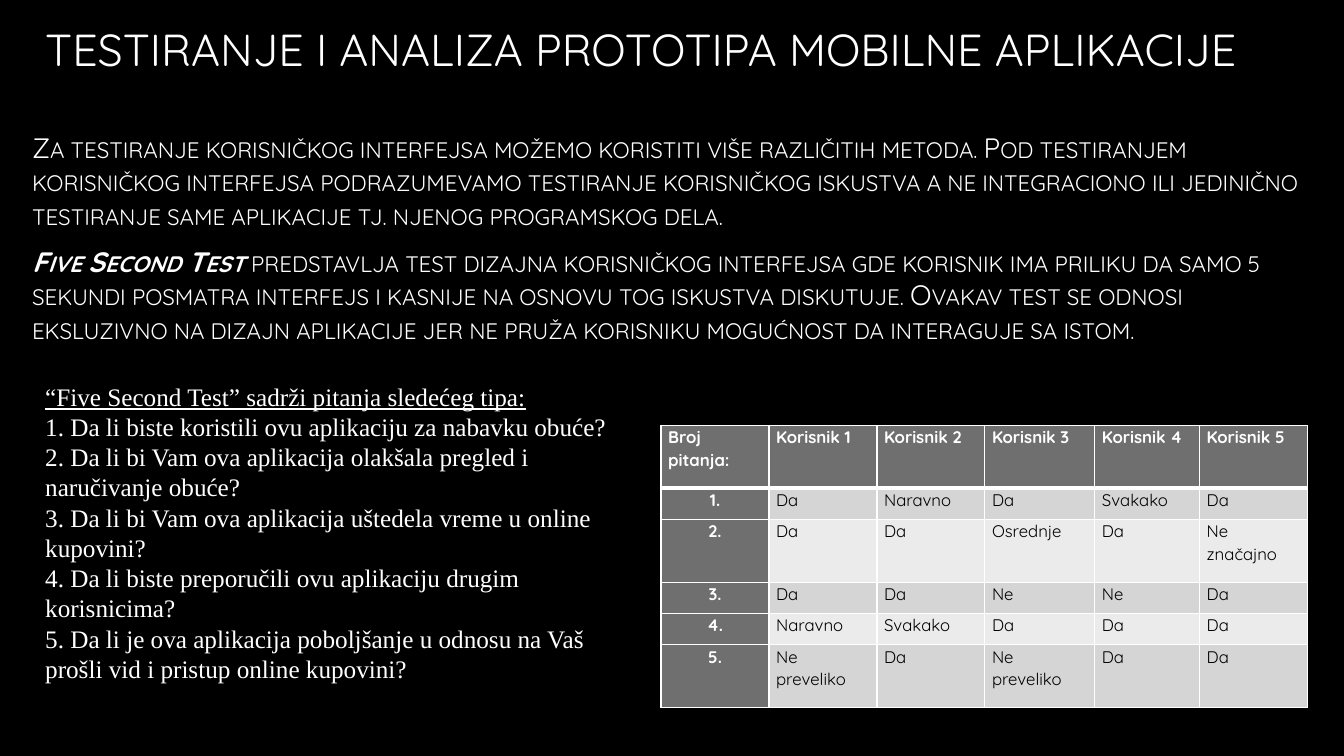
from typing import NamedTuple

from lxml import etree
from pptx import Presentation
from pptx import util as u
from pptx.dml.color import RGBColor
from pptx.enum import text
from pptx.oxml.ns import qn

COLORS = {
    "black": "000000",
    "white": "FFFFFF",
    "header": "6F6F6F",
    "odd": "D5D5D5",
    "even": "EBEBEB",
}
SANS, SERIF = "Quicksand", "Times New Roman"


class Run(NamedTuple):
    text: str
    bold: bool = False
    italic: bool = False
    underline: bool = False


class TextBlock(NamedTuple):
    left: float
    top: float
    width: float
    height: float
    paragraphs: list[list[Run]]
    size: float
    font: str
    line_pt: float | None = None
    after_pt: float = 0
    inset_top: float = 0.13
    small_caps: bool = False
    anchor: text.MSO_ANCHOR = text.MSO_ANCHOR.TOP


TITLE = TextBlock(0.89, 0.46, 31.45, 1.52,
                  [[Run("TESTIRANJE I ANALIZA PROTOTIPA MOBILNE APLIKACIJE")]],
                  32, SANS, anchor=text.MSO_ANCHOR.MIDDLE)

INTRO = TextBlock(0.56, 3.28, 32.84, 5.6, [
    [Run("Za testiranje korisničkog interfejsa možemo koristiti više različitih metoda. "
         "Pod testiranjem korisničkog interfejsa podrazumevamo testiranje korisničkog "
         "iskustva a ne integraciono ili jedinično testiranje same aplikacije tj. njenog "
         "programskog dela.")],
    [Run("Five Second Test", bold=True, italic=True),
     Run(" predstavlja test dizajna korisničkog interfejsa gde korisnik ima priliku da "
         "samo 5 sekundi posmatra interfejs i kasnije na osnovu tog iskustva diskutuje. "
         "Ovakav test se odnosi eksluzivno na dizajn aplikacije jer ne pruža korisniku "
         "mogućnost da interaguje sa istom.")],
], 20, SANS, line_pt=24, after_pt=9.5, inset_top=0, small_caps=True)

QUESTIONS = TextBlock(0.89, 9.47, 15.49, 8.66, [
    [Run("“Five Second Test” sadrži pitanja sledećeg tipa:", underline=True)],
    [Run("1. Da li biste koristili ovu aplikaciju za nabavku obuće?")],
    [Run("2. Da li bi Vam ova aplikacija olakšala pregled i naručivanje obuće?")],
    [Run("3. Da li bi Vam ova aplikacija uštedela vreme u online kupovini?")],
    [Run("4. Da li biste preporučili ovu aplikaciju drugim korisnicima?")],
    [Run("5. Da li je ova aplikacija poboljšanje u odnosu na Vaš prošli vid i pristup "
         "online kupovini?")],
], 18, SERIF, line_pt=21.6)

ANSWERS = [
    ["Broj pitanja:"] + [f"Korisnik {n}" for n in range(1, 6)],
    ["1.", "Da", "Naravno", "Da", "Svakako", "Da"],
    ["2.", "Da", "Da", "Osrednje", "Da", "Ne značajno"],
    ["3.", "Da", "Da", "Ne", "Ne", "Da"],
    ["4.", "Naravno", "Svakako", "Da", "Da", "Da"],
    ["5.", "Ne preveliko", "Da", "Ne preveliko", "Da", "Da"],
]
COLUMN_WIDTHS = [2.72, 2.72, 2.72, 2.77, 2.64, 2.72]
ROW_HEIGHTS = [1.58, 0.79, 1.58, 0.79, 0.79, 1.58]


def rgb(name: str) -> RGBColor:
    return RGBColor.from_string(COLORS[name])


def add_run(p, content: str, *, size: float, font: str, color: str = "white",
            bold: bool = False, italic: bool = False, underline: bool = False,
            small_caps: bool = False) -> None:
    r = p.add_run()
    r.text = content
    f = r.font
    f.size, f.name = u.Pt(size), font
    f.bold, f.italic, f.underline = bold, italic, underline
    f.color.rgb = rgb(color)
    if small_caps:
        r._r.get_or_add_rPr().set("cap", "small")


def add_text_block(slide, block: TextBlock) -> None:
    sp = slide.shapes.add_textbox(u.Cm(block.left), u.Cm(block.top),
                                  u.Cm(block.width), u.Cm(block.height))
    tf = sp.text_frame
    tf.word_wrap = True
    tf.vertical_anchor = block.anchor
    tf.margin_top = u.Cm(block.inset_top)
    for i, runs in enumerate(block.paragraphs):
        p = tf.add_paragraph() if i else tf.paragraphs[0]
        p.space_after = u.Pt(block.after_pt)
        if block.line_pt:
            p.line_spacing = u.Pt(block.line_pt)
        for run in runs:
            add_run(p, run.text, size=block.size, font=block.font, bold=run.bold,
                    italic=run.italic, underline=run.underline,
                    small_caps=block.small_caps)


def set_borders(cell, widths: dict[str, float]) -> None:
    """Draw white cell borders; widths maps the sides L, R, T, B to points."""
    tc_pr = cell._tc.get_or_add_tcPr()
    for i, (side, width) in enumerate(widths.items()):
        ln = etree.Element(qn(f"a:ln{side}"), w=str(u.Pt(width)))
        fill = etree.SubElement(ln, qn("a:solidFill"))
        etree.SubElement(fill, qn("a:srgbClr"), val=COLORS["white"])
        tc_pr.insert(i, ln)


def add_answer_table(slide) -> None:
    table = slide.shapes.add_table(
        len(ANSWERS), len(COLUMN_WIDTHS), u.Cm(16.66), u.Cm(10.72),
        u.Cm(sum(COLUMN_WIDTHS)), u.Cm(sum(ROW_HEIGHTS))).table
    table.first_row = table.horz_banding = False
    for column, width in zip(table.columns, COLUMN_WIDTHS):
        column.width = u.Cm(width)
    for row, height in zip(table.rows, ROW_HEIGHTS):
        row.height = u.Cm(height)

    for i, answers in enumerate(ANSWERS):
        for j, answer in enumerate(answers):
            cell = table.cell(i, j)
            heading = i == 0 or j == 0
            cell.margin_left = cell.margin_right = u.Cm(0.18)
            cell.margin_top = cell.margin_bottom = 0
            cell.fill.solid()
            cell.fill.fore_color.rgb = rgb("header" if heading else "odd" if i % 2 else "even")
            set_borders(cell, {"L": 1, "R": 1, "T": 3 if i == 1 else 1,
                               "B": 3 if i == 0 else 1})
            p = cell.text_frame.paragraphs[0]
            p.line_spacing = 1.07
            if i and not j:
                p.alignment = text.PP_ALIGN.CENTER
            add_run(p, answer, size=12, font=SANS, bold=heading,
                    color="white" if heading else "black")


def main() -> None:
    prs = Presentation()
    prs.slide_width, prs.slide_height = u.Cm(33.87), u.Cm(19.05)
    slide = prs.slides.add_slide(prs.slide_layouts[6])
    slide.background.fill.solid()
    slide.background.fill.fore_color.rgb = rgb("black")
    for block in (TITLE, INTRO):
        add_text_block(slide, block)
    add_answer_table(slide)
    add_text_block(slide, QUESTIONS)
    prs.save("out.pptx")


if __name__ == "__main__":
    main()
